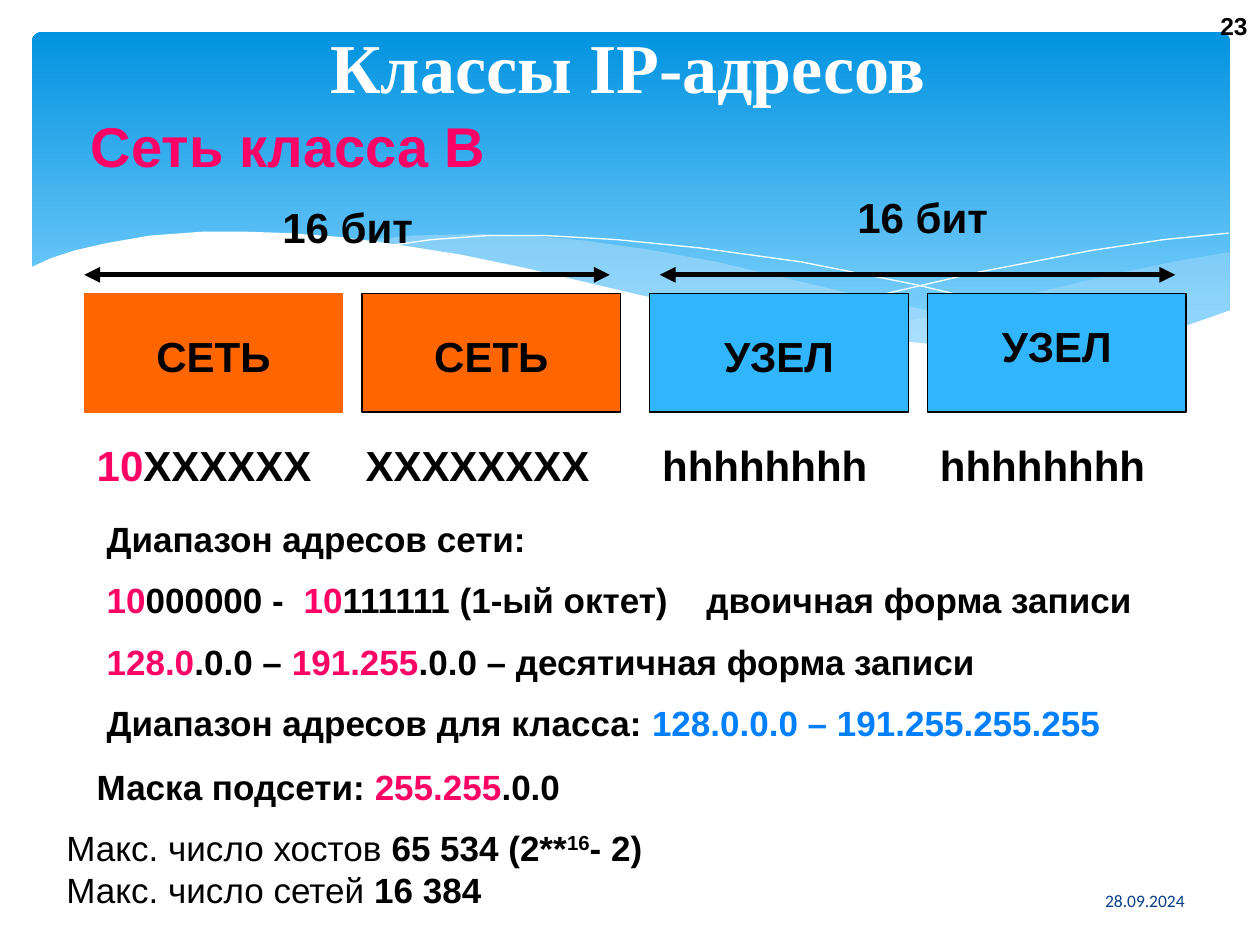
import dataclasses

import lxml.etree
import pptx
import pptx.dml.color
import pptx.enum.shapes
import pptx.enum.text
import pptx.oxml.ns
import pptx.util

Cm, Pt = pptx.util.Cm, pptx.util.Pt
ALIGN = pptx.enum.text.PP_ALIGN
ANCHOR = pptx.enum.text.MSO_ANCHOR
SHAPE = pptx.enum.shapes.MSO_SHAPE


@dataclasses.dataclass(frozen=True)
class Theme:
    ink: str = "000000"
    white: str = "FFFFFF"
    accent: str = "FF0066"
    link: str = "0080FF"
    date: str = "073E87"
    network: str = "FF6600"
    host: str = "31B6FD"
    sky: tuple = ("0293E0", "83D3FE")
    wave: str = "C6E7FC"
    font: str = "Arial"
    title_font: str = "Times New Roman"
    date_font: str = "Calibri"
    title: int = 40
    heading: int = 32
    label: int = 24
    body: int = 20
    number: int = 14
    small: int = 10


@dataclasses.dataclass(frozen=True)
class Box:
    left: float
    top: float
    width: float
    height: float

    def inner(self, left, top, width, height):
        return Box(self.left + left, self.top + top, width, height)

    def lengths(self):
        return [Cm(v) for v in (self.left, self.top, self.width, self.height)]


THEME = Theme()

# Wave outlines in centimetres on the page
RIGHT_WAVE = [(24.79, 5.08), (23.75, 5.26), (22.63, 5.49), (21.13, 5.84), (19.79, 6.17), (18.52, 6.43),
              (16.79, 6.73), (17.55, 6.83), (18.59, 6.96), (19.53, 7.04), (20.68, 7.06), (21.69, 7.01),
              (22.58, 6.91), (23.39, 6.73), (24.1, 6.53), (24.79, 6.27)]
MIDDLE_WAVE = [(22.68, 6.93), (21.26, 6.73), (19.69, 6.45), (17.93, 6.1), (15.98, 5.64), (14.45, 5.28),
               (13.06, 5.03), (11.79, 4.85), (10.67, 4.75), (9.65, 4.72), (8.33, 4.75), (7.26, 4.85),
               (8.69, 5.05), (10.26, 5.36), (11.4, 5.64), (13.46, 6.1), (15.27, 6.48), (16.89, 6.76),
               (18.34, 6.96), (19.63, 7.06), (20.78, 7.09), (21.77, 7.04)]
LONG_CREST = [(7.85, 4.95), (8.71, 4.83), (9.83, 4.75), (11, 4.75), (12.42, 4.83), (14.12, 5),
              (16.15, 5.28), (18.47, 5.74), (21.11, 6.38), (23.04, 6.91)]
SHORT_CREST = [(15.57, 6.53), (17.65, 5.97), (19.71, 5.49), (22, 5.05), (23.47, 4.83), (24.77, 4.7)]
WHITE_WAVE = [(24.82, 6.25), (23.88, 6.58), (22.83, 6.83), (21.59, 6.99), (20.55, 7.04), (19.33, 6.99),
              (17.98, 6.86), (16.43, 6.65), (14.71, 6.35), (12.78, 5.92), (10.62, 5.41), (9.27, 5.13),
              (8, 4.93), (6.88, 4.78), (5.84, 4.7), (4.9, 4.67), (4.09, 4.67), (3.02, 4.75), (2.16, 4.9),
              (1.5, 5.05), (1.02, 5.21), (0.58, 5.41), (0.58, 8.36), (24.82, 8.36)]


def rgb(colour):
    return pptx.dml.color.RGBColor.from_string(colour)


def sub(parent, tag, **attributes):
    return lxml.etree.SubElement(parent, pptx.oxml.ns.qn(tag), attributes)


def write(para, spans, size, font=THEME.font, bold=True, align=ALIGN.LEFT):
    """Each span is (text, colour) or (text, colour, changes)."""
    para.alignment = align
    for text, colour, *changes in spans:
        options = changes[0] if changes else {}
        span = para.add_run()
        span.text = text
        span.font.size, span.font.name = Pt(size), font
        span.font.bold = options.get("bold", bold)
        span.font.color.rgb = rgb(colour)
        if "baseline" in options:
            span.font._element.set("baseline", options["baseline"])


def add_text(page, box, lines, size, gap=0, wrap=True, anchor=ANCHOR.TOP, **style):
    frame = page.shapes.add_textbox(*box.lengths()).text_frame
    frame.word_wrap, frame.vertical_anchor = wrap, anchor
    for index, spans in enumerate(lines):
        para = frame.add_paragraph() if index else frame.paragraphs[0]
        if index and gap:
            para.space_before = Pt(gap)
        write(para, spans, size, **style)


def add_rectangle(page, box, kind, line=None):
    shape = page.shapes.add_shape(kind, *box.lengths())
    shape.shadow.inherit = False
    if line:
        shape.line.color.rgb, shape.line.width = rgb(line), Pt(0.75)
    else:
        shape.line.fill.background()
    return shape


def add_curve(group, points, fill=None, opacity=100):
    units = [(round(x * 100), round(y * 100)) for x, y in points]
    builder = group.shapes.build_freeform(*units[0], scale=Cm(0.01))
    builder.add_line_segments(units[1:], close=bool(fill))
    curve = builder.convert_to_shape()
    curve.shadow.inherit = False
    if fill:
        curve.fill.solid()
        curve.fill.fore_color.rgb = rgb(fill)
        curve.line.fill.background()
        colour = curve._element.spPr.find(".//" + pptx.oxml.ns.qn("a:srgbClr"))
        if opacity < 100:
            sub(colour, "a:alpha", val=str(opacity * 1000))
    else:
        curve.fill.background()
        curve.line.color.rgb, curve.line.width = rgb(THEME.white), Pt(0)


def add_backdrop(page, box):
    panel = add_rectangle(page, box, SHAPE.ROUNDED_RECTANGLE)
    panel.adjustments[0] = 0.03
    panel.fill.gradient()
    panel.fill.gradient_angle = 270
    for stop, colour, position in zip(panel.fill.gradient_stops, THEME.sky, (0, 0.9)):
        stop.color.rgb, stop.position = rgb(colour), position
    waves = page.shapes.add_group_shape()
    add_curve(waves, RIGHT_WAVE, THEME.wave, 29)
    add_curve(waves, MIDDLE_WAVE, THEME.wave, 40)
    add_curve(waves, LONG_CREST)
    add_curve(waves, SHORT_CREST)
    add_curve(waves, WHITE_WAVE, THEME.white)


def add_title(page, box, text):
    title = page.shapes.title
    title.left, title.top, title.width, title.height = box.lengths()
    title._element.getparent().append(title._element)  # in front of the backdrop
    frame = title.text_frame
    frame.auto_size = pptx.enum.text.MSO_AUTO_SIZE.NONE
    frame.vertical_anchor = ANCHOR.TOP
    frame.margin_top, frame.margin_bottom = Cm(0.43), Cm(0.2)
    para = frame.paragraphs[0]
    para.line_spacing = 0.7
    write(para, [(text, THEME.white)], THEME.title, THEME.title_font, align=ALIGN.CENTER)


def add_span_arrow(page, box):
    arrow = page.shapes.add_connector(pptx.enum.shapes.MSO_CONNECTOR.STRAIGHT, Cm(box.left), Cm(box.top),
                                      Cm(box.left + box.width), Cm(box.top))
    arrow.line.color.rgb, arrow.line.width = rgb(THEME.ink), Pt(3)
    for end in ("a:headEnd", "a:tailEnd"):
        sub(arrow.line._get_or_add_ln(), end, type="triangle")
    sub(arrow._element.spPr, "a:effectLst")


def add_address_half(page, box, fill, arrow, bits, octets):
    """Two octets under one arrow; an octet is (label, label top, outline, pattern, pattern shift)."""
    add_span_arrow(page, box.inner(arrow[0], 1.81, arrow[1], 0))
    add_text(page, box.inner(bits[0], bits[1], 11, 1.27), [[("16 бит", THEME.ink)]],
             THEME.label, align=ALIGN.CENTER)
    for index, (label, label_top, outline, pattern, shift) in enumerate(octets):
        left = index * 5.6
        cell = add_rectangle(page, box.inner(left, 2.19, 5.21, 2.39), SHAPE.RECTANGLE, outline)
        cell.fill.solid()
        cell.fill.fore_color.rgb = rgb(fill)
        add_text(page, box.inner(left + 0.6, label_top, 4.01, 1.27), [[(label, THEME.ink)]],
                 THEME.label, align=ALIGN.CENTER)
        add_text(page, box.inner(left + shift, 5.01, 5.21, 1.27), [pattern], THEME.label)


def add_details(page, box):
    ink, accent = THEME.ink, THEME.accent
    ranges = [
        [("Диапазон адресов сети:", ink)],
        [("10", accent), ("000000 -  ", ink), ("10", accent),
         ("111111 (1-ый октет)    двоичная форма записи", ink)],
        [("128.0", accent), (".0.0 – ", ink), ("191.255", accent), (".0.0 – десятичная форма записи", ink)],
        [("Диапазон адресов для класса: ", ink), ("128.0.0.0 – 191.255.255.255", THEME.link)],
    ]
    mask = [("Маска подсети: ", ink), ("255.255", accent), (".0.0", ink)]
    plain = {"bold": False}
    limits = [
        [("Макс. число хостов ", ink, plain), ("65 534 (2**", ink),
         ("16", ink, {"baseline": "30000"}), ("- 2) ", ink)],
        [("Макс. число сетей ", ink, plain), ("16 384", ink)],
    ]
    add_text(page, box.inner(0.81, 0, 21.41, 4.9), ranges, THEME.body, gap=11)
    add_text(page, box.inner(0.61, 5, 9.86, 1.09), [mask], THEME.body, wrap=False)
    add_text(page, box.inner(0, 6.22, 23.29, 1.96), limits, THEME.body, align=ALIGN.JUSTIFY)


def main():
    deck = pptx.Presentation()
    deck.slide_width, deck.slide_height = Cm(25.4), Cm(19.05)
    page = deck.slides.add_slide(deck.slide_layouts[5])
    ink = THEME.ink

    # Backdrop, title and heading
    add_backdrop(page, Box(0.64, 0.64, 24.16, 6.86))
    add_title(page, Box(0.81, 0.51, 23.7, 1.88), "Классы IP-адресов")
    add_text(page, Box(1.5, 2.13, 8.61, 1.6), [[("Сеть класса В", THEME.accent)]],
             THEME.heading, align=ALIGN.CENTER)

    # Address structure
    hosts = [("hhhhhhhh", ink)]
    add_address_half(page, Box(1.7, 3.73, 10.81, 6.3), THEME.network, (0, 10.59), (-0.19, 0.21),
                     [("СЕТЬ", 2.8, THEME.network, [("10", THEME.accent), ("XXXXXX", ink)], 0),
                      ("СЕТЬ", 2.8, ink, [("XXXXXXXX", ink)], -0.18)])
    add_address_half(page, Box(13.1, 3.73, 10.81, 6.3), THEME.host, (0.2, 10.39), (0, 0),
                     [("УЗЕЛ", 2.8, ink, hosts, 0), ("УЗЕЛ", 2.6, ink, hosts, 0)])

    # Ranges, mask and limits
    add_details(page, Box(1.09, 10.31, 23.29, 8.2))

    # Date and page number
    add_text(page, Box(18.21, 17.65, 5.92, 1.02), [[("28.09.2024", THEME.date)]], THEME.small,
             anchor=ANCHOR.MIDDLE, font=THEME.date_font, bold=False, align=ALIGN.RIGHT)
    add_text(page, Box(24.31, 0, 1.09, 1.02), [[("23", ink)]], THEME.number,
             anchor=ANCHOR.MIDDLE, align=ALIGN.RIGHT)
    deck.save("out.pptx")


if __name__ == "__main__":
    main()
